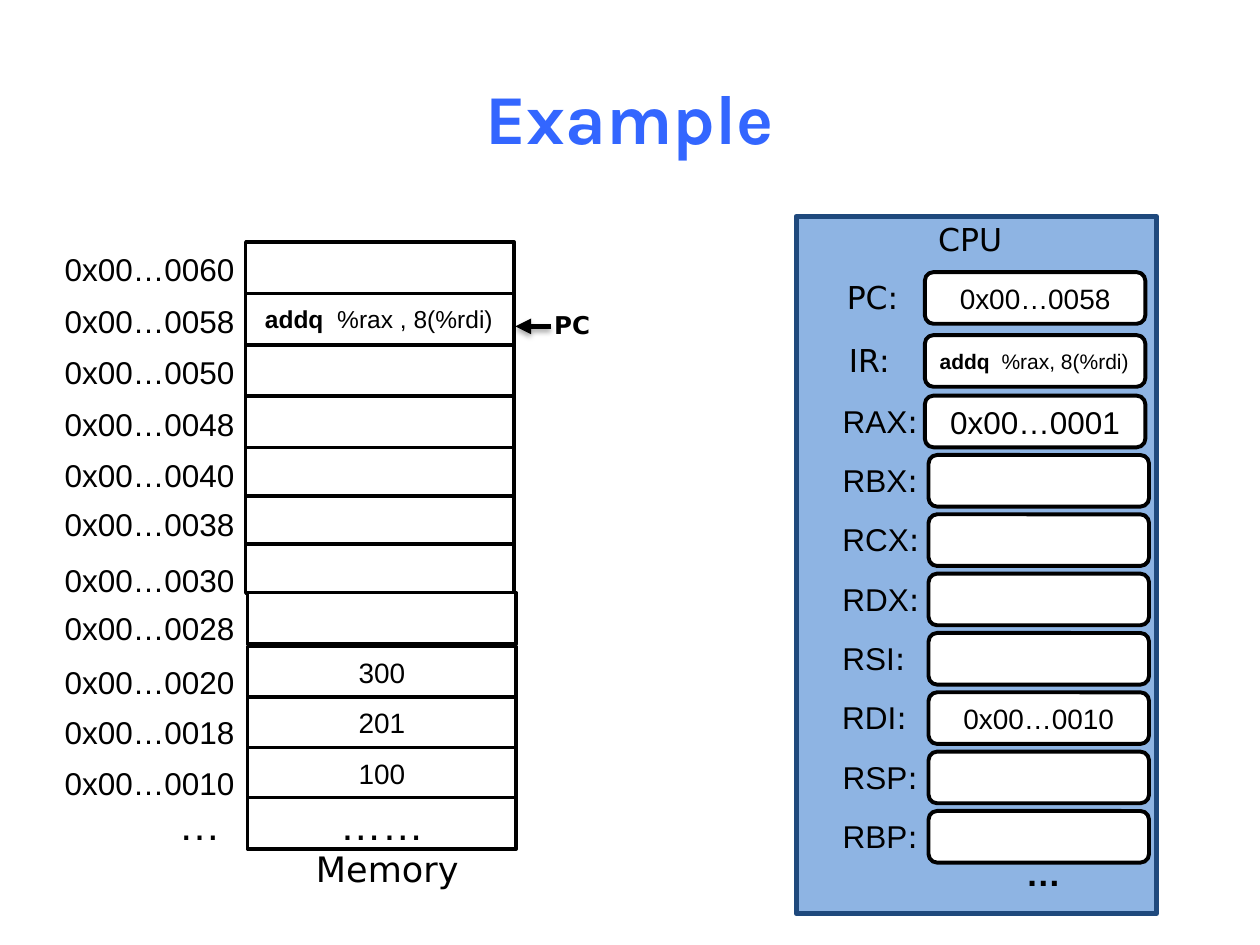
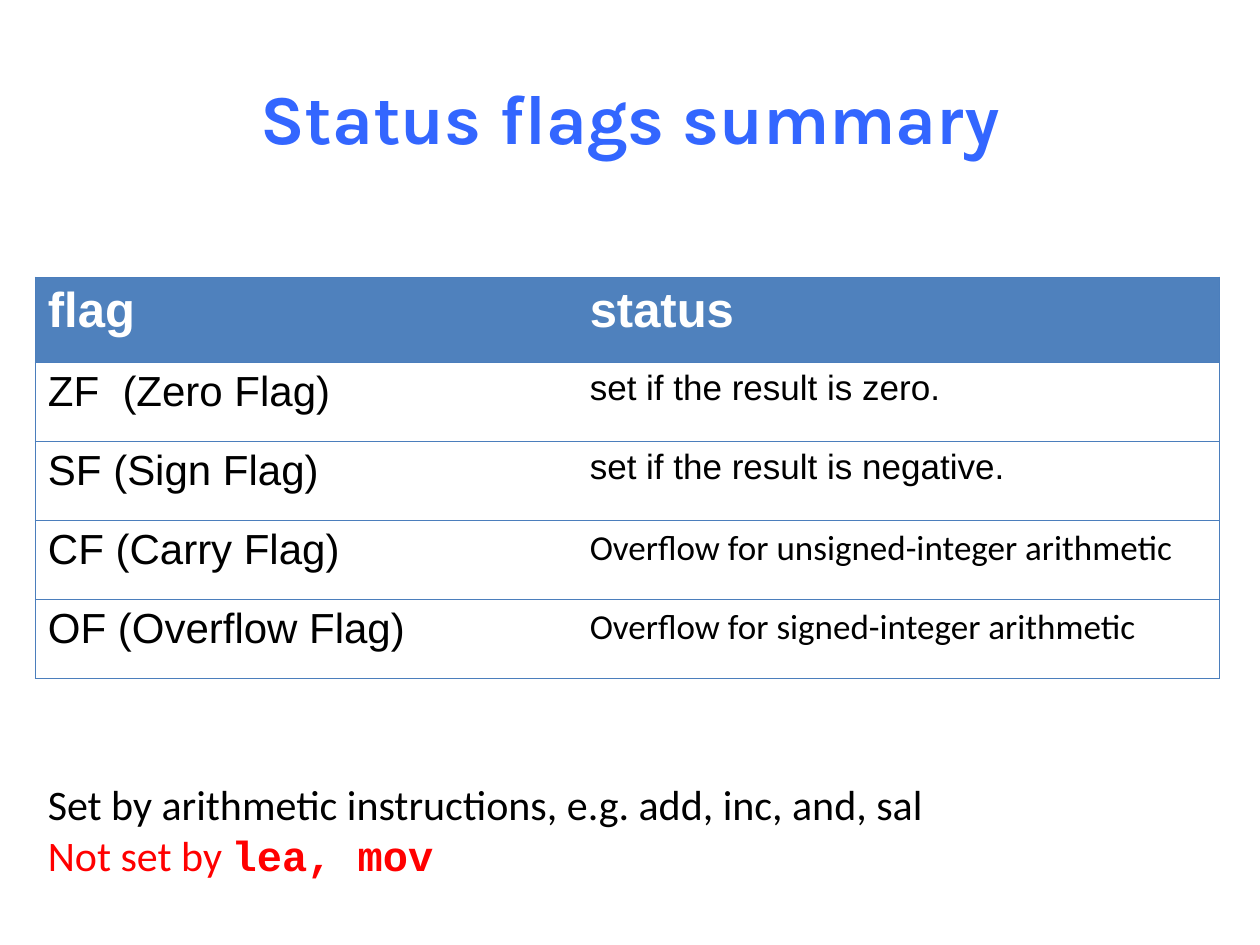
import itertools

import lxml.etree
import pptx
import pptx.dml.color
import pptx.enum.shapes
import pptx.enum.text
import pptx.oxml.ns
import pptx.util

Pt = pptx.util.Pt
ALIGN = pptx.enum.text.PP_ALIGN
ANCHOR = pptx.enum.text.MSO_ANCHOR
SHAPE = pptx.enum.shapes.MSO_SHAPE

COLORS = {
    "black": "000000",
    "white": "FFFFFF",
    "title": "3366FF",
    "cpu_fill": "8EB4E3",
    "cpu_line": "1F497D",
    "header": "4F81BD",
    "border": "4B7EBC",
    "warning": "FF0000",
}


def color(name):
    return pptx.dml.color.RGBColor.from_string(COLORS[name])


def font(size, name="Arial", bold=False, ink="black"):
    """Format values of one run."""
    return {"size": Pt(size), "name": name, "bold": bold, "ink": ink}


class Deck:
    """Holds the presentation, its style and the current slide."""

    def __init__(self, width, height):
        self.presentation = pptx.Presentation()
        self.presentation.slide_width = Pt(width)
        self.presentation.slide_height = Pt(height)
        self.slide = None

    def new_slide(self, title):
        layout = self.presentation.slide_layouts[6]
        self.slide = self.presentation.slides.add_slide(layout)
        self.text((36, 21.6, 648, 90), [[(title, font(40, "Karla", True, "title"))]],
                  ALIGN.CENTER, wrap=True, anchor=ANCHOR.MIDDLE)

    def fill_text(self, frame, paragraphs, alignment=ALIGN.LEFT):
        """Fill a text frame; each paragraph is a list of (text, font) runs."""
        for index, runs in enumerate(paragraphs):
            paragraph = frame.paragraphs[0] if index == 0 else frame.add_paragraph()
            paragraph.alignment = alignment
            for text, values in runs:
                run = paragraph.add_run()
                run.text = text
                for key, value in values.items():
                    if key == "ink":
                        run.font.color.rgb = color(value)
                    else:
                        setattr(run.font, key, value)

    def text(self, box, paragraphs, alignment=ALIGN.LEFT, wrap=False, anchor=ANCHOR.TOP):
        frame = self.slide.shapes.add_textbox(*map(Pt, box)).text_frame
        frame.word_wrap = wrap
        frame.vertical_anchor = anchor
        self.fill_text(frame, paragraphs, alignment)

    def shape(self, kind, box, weight, runs=(), alignment=ALIGN.CENTER,
              fill="white", line="black"):
        shape = self.slide.shapes.add_shape(kind, *map(Pt, box))
        shape.shadow.inherit = False
        shape.fill.solid()
        shape.fill.fore_color.rgb = color(fill)
        shape.line.color.rgb = color(line)
        shape.line.width = Pt(weight)
        if runs:
            shape.text_frame.vertical_anchor = ANCHOR.MIDDLE
            self.fill_text(shape.text_frame, [runs], alignment)

    def arrow(self, start, end, weight):
        """A straight arrow with a soft shadow below it."""
        connector = self.slide.shapes.add_connector(
            pptx.enum.shapes.MSO_CONNECTOR.STRAIGHT, *map(Pt, start + end))
        connector.line.color.rgb = color("black")
        connector.line.width = Pt(weight)
        qn = pptx.oxml.ns.qn
        line = connector.line._get_or_add_ln()
        lxml.etree.SubElement(line, qn("a:tailEnd"), type="triangle")
        effects = lxml.etree.SubElement(connector._element.spPr, qn("a:effectLst"))
        shadow = lxml.etree.SubElement(
            effects, qn("a:outerShdw"), blurRad=str(Pt(3.1)), dist=str(Pt(1.8)),
            dir="5400000", rotWithShape="0")
        ink = lxml.etree.SubElement(shadow, qn("a:srgbClr"), val=COLORS["black"])
        lxml.etree.SubElement(ink, qn("a:alpha"), val="35000")

    def cell_borders(self, cell, visible):
        properties = cell._tc.get_or_add_tcPr()
        qn = pptx.oxml.ns.qn
        for side in "LRTB":
            line = lxml.etree.SubElement(properties, qn("a:ln" + side), w=str(Pt(0.75)))
            if side in visible:
                fill = lxml.etree.SubElement(line, qn("a:solidFill"))
                lxml.etree.SubElement(fill, qn("a:srgbClr"), val=COLORS["border"])
            else:
                lxml.etree.SubElement(line, qn("a:noFill"))

    def table(self, left, top, widths, heights, rows):
        """A framed table with lines between rows; cells are (text, font)."""
        box = (left, top, sum(widths), sum(heights))
        table = self.slide.shapes.add_table(
            len(heights), len(widths), *map(Pt, box)).table
        table.first_row = table.horz_banding = False
        for column, width in zip(table.columns, widths):
            column.width = Pt(width)
        for row, height in zip(table.rows, heights):
            row.height = Pt(height)
        for row_index, row in enumerate(rows):
            for column_index, run in enumerate(row):
                cell = table.cell(row_index, column_index)
                outer = "L" if column_index == 0 else "R"
                self.cell_borders(cell, "TB" + outer)
                cell.fill.solid()
                cell.fill.fore_color.rgb = color("white" if row_index else "header")
                self.fill_text(cell.text_frame, [[run]])


def draw_memory(deck):
    """Memory column, from the highest address down."""
    instruction = [(" ", font(14)), ("addq ", font(14, bold=True)),
                   (" %rax , 8(%rdi)", font(14))]
    contents = {1: instruction, 11: [("……", font(24))]}
    for row, value in enumerate(("300", "201", "100"), start=8):
        contents[row] = [(value, font(16))]

    steps = [29.4] * 4 + [27.6] * 3 + [30.8] + [28.8] * 3
    tops = list(itertools.accumulate(steps, initial=138.2))
    for row, top in enumerate(tops):
        left = 140.4 if row < 7 else 141.5
        height = 28 if row in (4, 5, 6) else 29.5
        alignment = ALIGN.LEFT if row == 1 else ALIGN.CENTER
        deck.shape(SHAPE.RECTANGLE, (left, top, 153.4, height), 2,
                   contents.get(row), alignment)

    # Addresses fall by eight bytes a row
    for row, top in enumerate(tops[:-1]):
        address = f"0x00…{0x60 - 8 * row:04x}"
        offset = 1.4 if row < 6 else 6
        deck.text((28.8, top + offset, 112.3, 28.8), [[(address, font(18))]], ALIGN.RIGHT)
    deck.text((94.3, 452.9, 38.9, 36), [[("…", font(24))]], ALIGN.RIGHT)
    deck.text((173.5, 481, 95.8, 31.7), [[("Memory", font(20, "DejaVu Sans"))]])

    # Program counter
    deck.arrow((314.6, 186.5), (294.5, 186.5), 3)
    deck.text((309.6, 173.5, 35.3, 24.5), [[("PC", font(14, "DejaVu Sans", True))]])


def draw_cpu(deck):
    """CPU panel with its registers."""
    deck.shape(SHAPE.RECTANGLE, (455, 123.8, 205.9, 398.2), 3,
               fill="cpu_fill", line="cpu_line")
    label_font = font(18, "DejaVu Sans")
    deck.text((528.5, 122.4, 51.8, 28.8), [[("CPU", label_font)]], ALIGN.CENTER)

    instruction = [("addq ", font(12, bold=True)), (" %rax, 8(%rdi)", font(12))]
    registers = [  # name, label width, content
        ("PC", 46.8, [("0x00…0058", font(16))]),
        ("IR", 43.2, instruction),
        ("RAX", 60.5, [("0x00…0001", font(18))]),
        ("RBX", 60.5, None),
        ("RCX", 61.2, None),
        ("RDX", 61.2, None),
        ("RSI", 53.3, None),
        ("RDI", 54, [("0x00…0010", font(16))]),
        ("RSP", 60.5, None),
        ("RBP", 60.5, None),
    ]
    steps = [36, 34.6] + [33.9] * 7
    tops = itertools.accumulate(steps, initial=155.5)
    for row, ((name, width, content), top) in enumerate(zip(registers, tops)):
        alignment = ALIGN.LEFT if name == "IR" else ALIGN.CENTER
        left = 528.5 if row < 3 else 530.6
        deck.shape(SHAPE.ROUNDED_RECTANGLE, (left, top, 126, 29.5), 2.25,
                   content, alignment)
        name_font = label_font if row < 2 else font(18)
        label_left = 475.2 if row < 2 else 472.8
        deck.text((label_left, top, width, 28.8),
                  [[(name, name_font), (":", label_font)]], ALIGN.CENTER)
    deck.text((578.9, 483.1, 34.6, 31.7), [[("…", font(20, bold=True))]], ALIGN.CENTER)


def draw_flags(deck):
    """Flag table and the note under it."""
    header = font(28, bold=True, ink="white")
    flags = [
        ("ZF  (Zero Flag)", "set if the result is zero.", "Arial"),
        ("SF (Sign Flag)", "set if the result is negative.", "Arial"),
        ("CF (Carry Flag)", "Overflow for unsigned-integer arithmetic", "Calibri"),
        ("OF (Overflow Flag)", "Overflow for signed-integer arithmetic", "Calibri"),
    ]
    rows = [[("flag", header), ("status", header)]]
    rows += [[(flag, font(24)), (status, font(20, name))] for flag, status, name in flags]
    deck.table(20.2, 158.4, [309.6, 367.2], [48.6] + [45.2] * 4, rows)

    deck.text((20.2, 441.4, 546.5, 65.5), [
        [("Set by arithmetic instructions, e.g. add, inc, and, sal", font(24, "Calibri"))],
        [("Not set by ", font(24, "Calibri", ink="warning")),
         ("lea, mov", font(24, "Courier New", True, "warning"))],
    ], wrap=True)


def main():
    deck = Deck(720, 540)

    deck.new_slide("Example")
    draw_memory(deck)
    draw_cpu(deck)

    deck.new_slide("Status flags summary")
    draw_flags(deck)

    deck.presentation.save("out.pptx")


if __name__ == "__main__":
    main()
